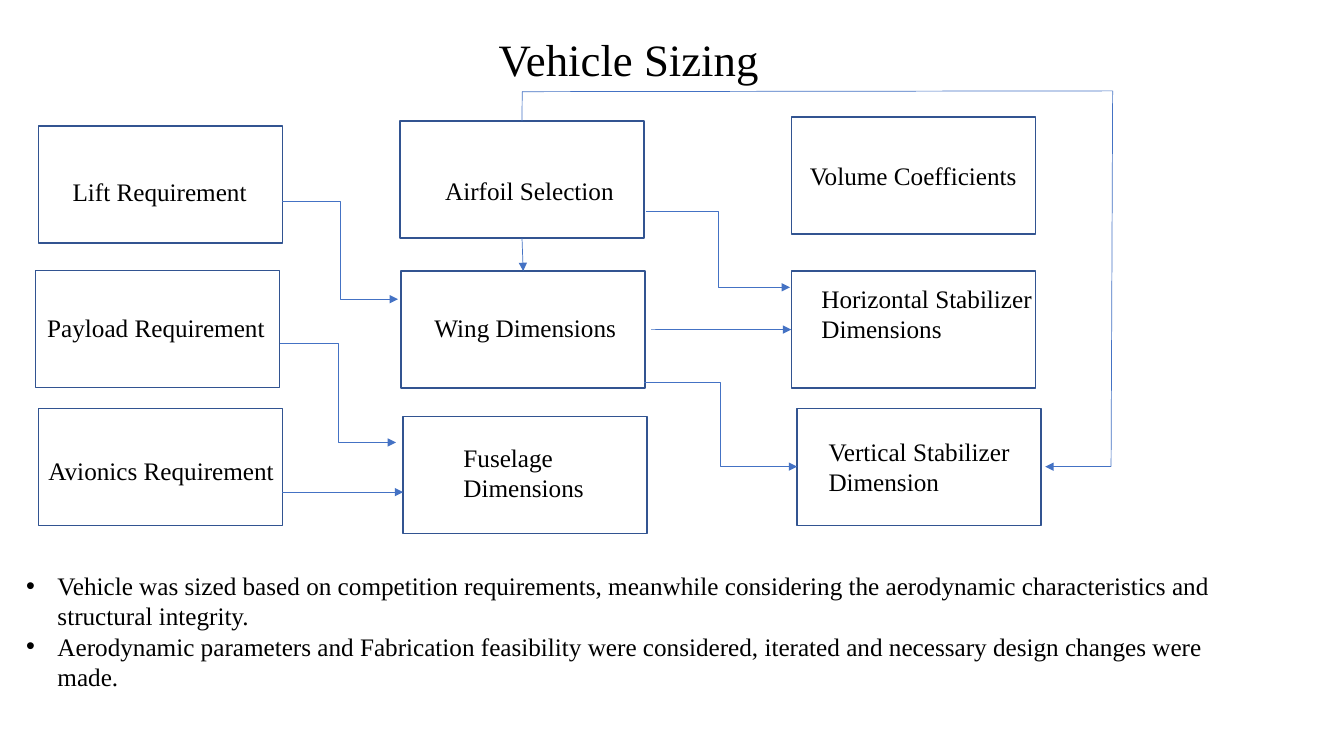
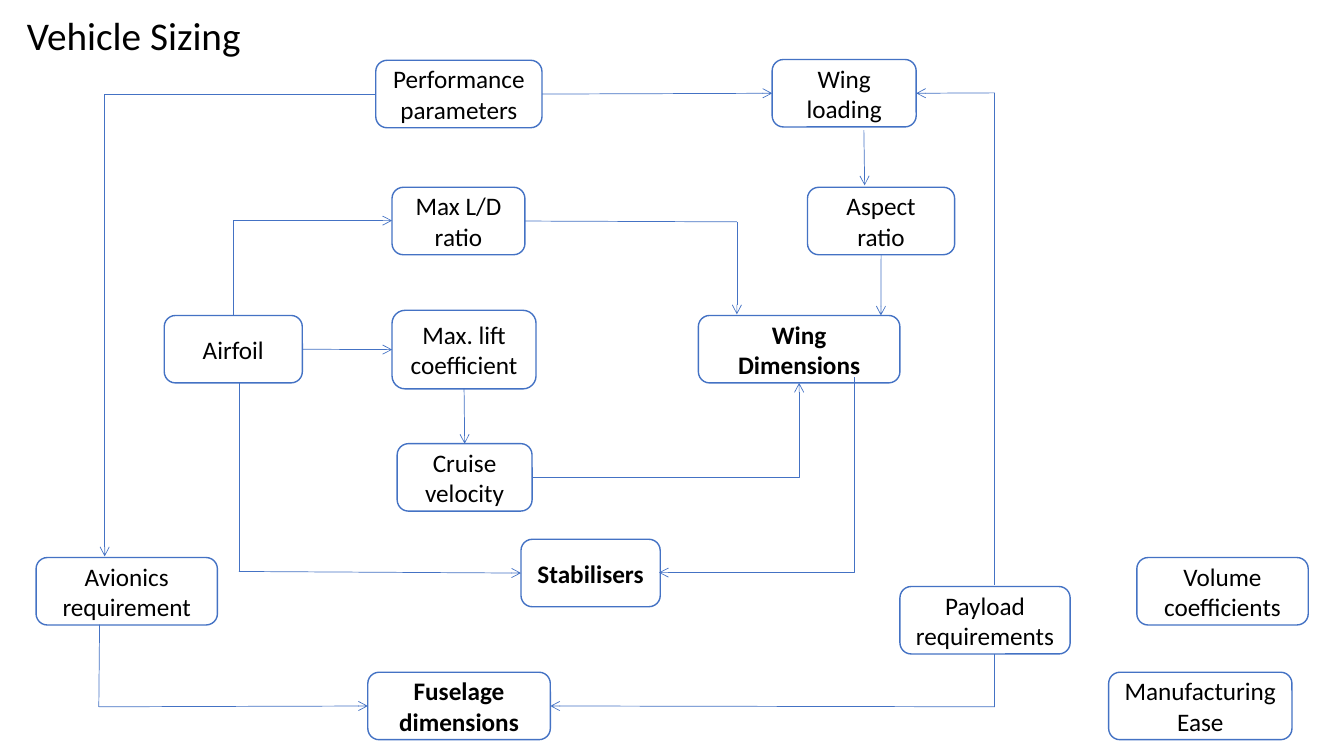
from dataclasses import dataclass

from lxml import etree
from pptx import Presentation
from pptx.dml.color import RGBColor
from pptx.enum.shapes import MSO_CONNECTOR, MSO_SHAPE
from pptx.enum.text import MSO_ANCHOR, PP_ALIGN
from pptx.oxml.ns import qn
from pptx.util import Cm, Pt

BLACK = RGBColor(0x00, 0x00, 0x00)
WHITE = RGBColor(0xFF, 0xFF, 0xFF)
BLUE = RGBColor(0x44, 0x72, 0xC4)
DARK_BLUE = RGBColor(0x32, 0x54, 0x91)

SERIF = "Times New Roman"
SANS = "Calibri"
BODY_SIZE = 18
TITLE = "Vehicle Sizing"

RECTANGLE = MSO_SHAPE.RECTANGLE
ROUNDED = MSO_SHAPE.FLOWCHART_ALTERNATE_PROCESS
STRAIGHT = MSO_CONNECTOR.STRAIGHT
ELBOW = MSO_CONNECTOR.ELBOW
LEFT_ALIGN = PP_ALIGN.LEFT
CENTER = PP_ALIGN.CENTER
TOP_ANCHOR = MSO_ANCHOR.TOP
MIDDLE = MSO_ANCHOR.MIDDLE

TOP, LEFT, BOTTOM, RIGHT = range(4)
STEP, CORNER = "bentConnector3", "bentConnector2"
NO_ARROW, AT_START, AT_END = "", "a:headEnd", "a:tailEnd"


@dataclass(frozen=True)
class Box:
    text: str
    left: float
    top: float
    width: float = 6.15
    height: float = 2.95
    inset: tuple[float, float] | None = None
    bold: bool = False


@dataclass(frozen=True)
class Port:
    box: str
    side: int


@dataclass(frozen=True)
class Link:
    start: tuple[float, float] | Port
    end: tuple[float, float] | Port
    arrow: str = AT_END
    bend: str = ""


@dataclass(frozen=True)
class Style:
    font: str
    shape: int
    outline: RGBColor
    arrowhead: str


def node(text: str, left: float, top: float, width: float,
         height: float = 1.7, bold: bool = False) -> Box:
    return Box(text, left, top, width, height, bold=bold)


REQUIREMENT_STYLE = Style(SERIF, RECTANGLE, DARK_BLUE, "triangle")
REQUIREMENT_BOXES = [
    Box("Lift Requirement", 0.97, 3.18, inset=(0.86, 1.27)),
    Box("Payload Requirement", 0.89, 6.81, inset=(0.3, 1.07)),
    Box("Avionics Requirement", 0.97, 10.29, inset=(0.25, 1.19)),
    Box("Airfoil Selection", 10.08, 3.05, inset=(1.14, 1.37)),
    Box("Volume Coefficients", 19.94, 2.95),
    Box("Wing Dimensions", 10.11, 6.83, inset=(0.84, 1.04)),
    Box("Vertical Stabilizer Dimension", 20.09, 10.29, inset=(0.79, 0.71)),
    Box("Fuselage Dimensions", 10.16, 10.49, inset=(1.52, 0.66)),
    Box("Horizontal Stabilizer Dimensions", 19.94, 6.83, inset=(0.76, 0.3)),
]
REQUIREMENT_LINKS = [
    Link((7.11, 5.08), (10.03, 7.54), bend=STEP),
    Link((7.06, 8.66), (9.98, 11.15), bend=STEP),
    Link(Port("Airfoil Selection", BOTTOM), Port("Wing Dimensions", TOP)),
    Link((16.28, 5.33), (19.91, 7.24), bend=STEP),
    Link((16.23, 9.63), (20.09, 11.76), bend=STEP),
    Link((7.11, 12.4), (10.16, 12.4)),
    Link((16.41, 8.3), Port("Horizontal Stabilizer Dimensions", LEFT)),
    Link(Port("Airfoil Selection", TOP), (13.16, 2.31), NO_ARROW),
    Link((28.04, 2.29), (13.16, 2.31), NO_ARROW),
    Link((28.04, 2.29), (28, 11.76), NO_ARROW),
    Link((28, 11.76), (26.34, 11.76)),
]
BULLETS = [
    "Vehicle was sized based on competition requirements, meanwhile considering "
    "the aerodynamic characteristics and structural integrity.",
    "Aerodynamic parameters and Fabrication feasibility were considered, iterated "
    "and necessary design changes were made.",
]

PROCESS_STYLE = Style(SANS, ROUNDED, BLUE, "arrow")
PROCESS_BOXES = [
    node("Airfoil", 4.14, 7.95, 3.48),
    node("Aspect ratio", 20.35, 4.72, 3.71),
    node("Wing Dimensions", 17.6, 7.95, 5.08, bold=True),
    node("Cruise velocity", 10.01, 11.18, 3.4),
    node("Max L/D ratio", 9.88, 4.72, 3.35),
    node("Fuselage dimensions", 9.27, 16.94, 4.6, bold=True),
    node("Avionics requirement", 0.91, 14.05, 4.57),
    node("Performance parameters", 9.47, 1.52, 4.19),
    node("Wing loading", 19.46, 1.5, 3.63),
    node("Max. lift coefficient", 9.88, 7.82, 3.63, 1.98),
    node("Volume coefficients", 28.65, 14.05, 4.32),
    node("Manufacturing Ease", 27.94, 16.94, 4.62),
    node("Payload requirements", 22.68, 14.78, 4.29),
    node("Stabilisers", 13.13, 13.59, 3.51, bold=True),
]
PROCESS_LINKS = [
    Link(Port("Airfoil", RIGHT), Port("Max. lift coefficient", LEFT)),
    Link((9.88, 5.56), (5.89, 7.95), AT_START, CORNER),
    Link((13.41, 12.04), (20.14, 9.65), bend=CORNER),
    Link(Port("Aspect ratio", BOTTOM), (22.2, 7.95)),
    Link(Port("Performance parameters", RIGHT), Port("Wing loading", LEFT)),
    Link((9.47, 2.39), (2.64, 14.02), bend=CORNER),
    Link(Port("Max. lift coefficient", BOTTOM), Port("Cruise velocity", TOP)),
    Link((6.02, 14.4), Port("Stabilisers", LEFT)),
    Link((16.61, 14.43), (21.54, 9.5), AT_START, CORNER),
    Link((21.77, 3.28), (21.79, 4.67)),
    Link((25.07, 2.34), Port("Wing loading", RIGHT)),
    Link((25.07, 17.81), Port("Fuselage dimensions", RIGHT)),
    Link((6.02, 14.4), (6.02, 9.65), NO_ARROW),
    Link(Port("Max L/D ratio", RIGHT), (18.57, 5.59), NO_ARROW),
    Link((18.57, 5.59), (18.57, 7.92)),
    Link((25.07, 17.81), (25.07, 16.48), NO_ARROW),
    Link((25.07, 2.34), (25.07, 14.75), NO_ARROW),
    Link((2.51, 15.74), (2.49, 17.81), NO_ARROW),
    Link((2.49, 17.81), Port("Fuselage dimensions", LEFT)),
]


def add_span(para, text: str, font: str, size: float, bold: bool = False) -> None:
    span = para.add_run()
    span.text = text
    span.font.name = font
    span.font.size = Pt(size)
    span.font.bold = bold
    span.font.color.rgb = BLACK


def add_text_frame(page, left: float, top: float, width: float, height: float):
    holder = page.shapes.add_textbox(Cm(left), Cm(top), Cm(width), Cm(height))
    holder.text_frame.word_wrap = True
    return holder.text_frame


def draw_title(page, left: float, top: float, width: float, height: float,
               font: str, size: float, align) -> None:
    frame = add_text_frame(page, left, top, width, height)
    frame.vertical_anchor = MIDDLE
    para = frame.paragraphs[0]
    para.alignment = align
    para.line_spacing = 0.9
    add_span(para, TITLE, font, size)


def draw_box(page, box: Box, style: Style):
    shape = page.shapes.add_shape(style.shape, Cm(box.left), Cm(box.top),
                                  Cm(box.width), Cm(box.height))
    shape.shadow.inherit = False
    shape.fill.solid()
    shape.fill.fore_color.rgb = WHITE
    shape.line.color.rgb = style.outline
    shape.line.width = Pt(1)
    frame = shape.text_frame
    frame.word_wrap = True
    para = frame.paragraphs[0]
    if box.inset:
        frame.margin_left, frame.margin_top = map(Cm, box.inset)
        frame.margin_right = Cm(0)
        frame.vertical_anchor = TOP_ANCHOR
        para.alignment = LEFT_ALIGN
    else:
        frame.vertical_anchor = MIDDLE
        para.alignment = CENTER
    add_span(para, box.text, style.font, BODY_SIZE, box.bold)
    return shape


def draw_link(page, link: Link, shapes: dict, arrowhead: str) -> None:
    ends = [(0, 0) if isinstance(end, Port) else end for end in (link.start, link.end)]
    connector = page.shapes.add_connector(
        ELBOW if link.bend else STRAIGHT,
        *(Cm(value) for point in ends for value in point))
    if isinstance(link.start, Port):
        connector.begin_connect(shapes[link.start.box], link.start.side)
    if isinstance(link.end, Port):
        connector.end_connect(shapes[link.end.box], link.end.side)
    connector.line.color.rgb = BLUE
    connector.line.width = Pt(0.5)
    properties = connector.element.spPr
    if link.bend:
        properties.find(qn("a:prstGeom")).set("prst", link.bend)
    if link.arrow:
        outline = properties.find(qn("a:ln"))
        etree.SubElement(outline, qn(link.arrow), type=arrowhead)
    etree.SubElement(properties, qn("a:effectLst"))


def draw_diagram(page, boxes: list[Box], links: list[Link], style: Style) -> None:
    shapes = {box.text: draw_box(page, box, style) for box in boxes}
    for link in links:
        draw_link(page, link, shapes, style.arrowhead)


def draw_bullets(page) -> None:
    frame = add_text_frame(page, 0.41, 14.25, 31.52, 4.11)
    for index, text in enumerate(BULLETS):
        para = frame.add_paragraph() if index else frame.paragraphs[0]
        add_span(para, text, SERIF, BODY_SIZE)
        properties = para._p.get_or_add_pPr()
        properties.set("marL", str(Cm(0.79)))
        properties.set("indent", str(-Cm(0.79)))
        etree.SubElement(properties, qn("a:buFont"), typeface="Arial")
        etree.SubElement(properties, qn("a:buChar"), char="•")


def main() -> None:
    deck = Presentation()
    deck.slide_width = Cm(33.87)
    deck.slide_height = Cm(19.05)
    blank = deck.slide_layouts[6]

    page = deck.slides.add_slide(blank)
    draw_title(page, 1.24, 0.23, 29.21, 2.69, SERIF, 32, CENTER)
    draw_diagram(page, REQUIREMENT_BOXES, REQUIREMENT_LINKS, REQUIREMENT_STYLE)
    draw_bullets(page)

    page = deck.slides.add_slide(blank)
    draw_title(page, 0.43, 0.28, 8, 1.34, SANS, 28, LEFT_ALIGN)
    draw_diagram(page, PROCESS_BOXES, PROCESS_LINKS, PROCESS_STYLE)

    deck.save("out.pptx")


if __name__ == "__main__":
    main()
